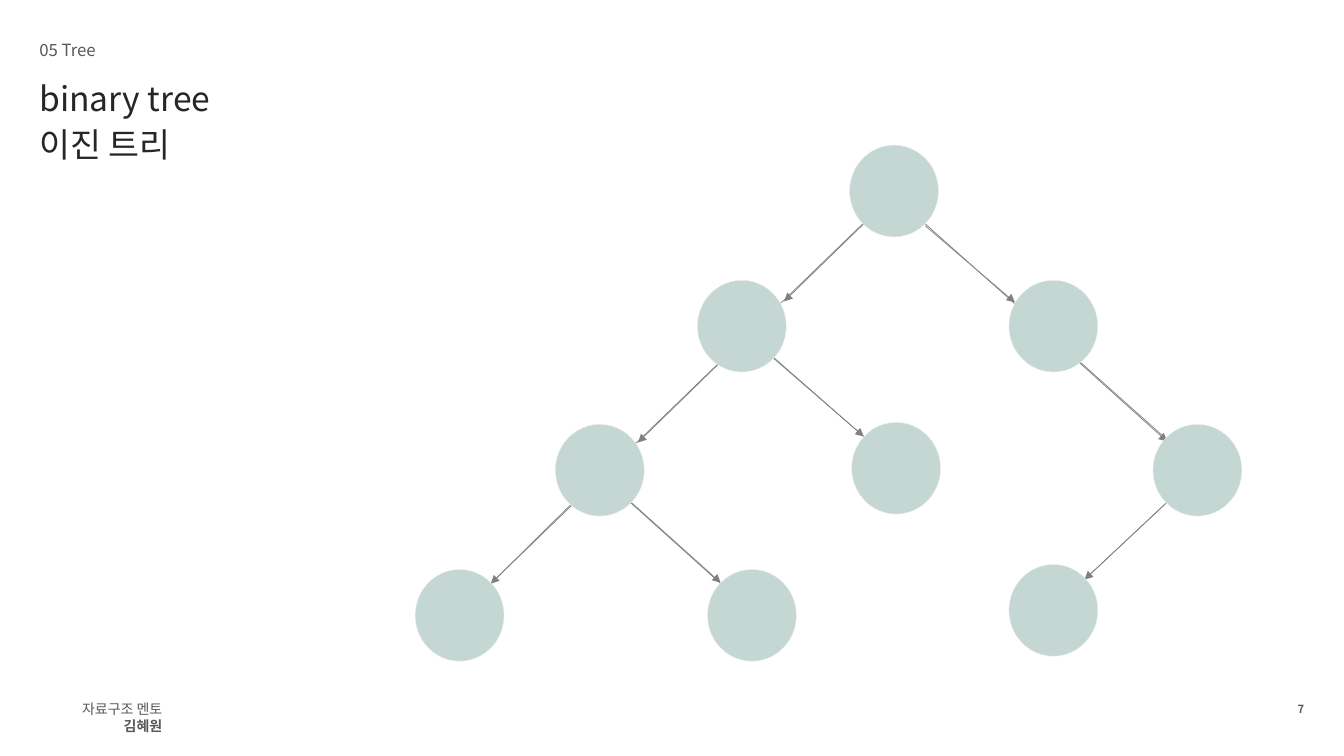
import pptx
import pptx.dml.color
import pptx.enum.shapes
import pptx.enum.text
import pptx.oxml.ns
import pptx.util
from lxml import etree

Pt = pptx.util.Pt
ALIGN = pptx.enum.text.PP_ALIGN
FONT = "Noto Sans CJK KR"
GREY, DARK, EDGE, NODE, RIM = "595959", "262626", "808080", "C4D7D3", "EDEDED"
NODE_W, NODE_H = 63.4, 65.5

# Node corners and edge ends, in points from the corner of the tree's box
NODES = [
    (310.3, 0), (424.1, 96.5), (201.6, 96.5), (100.1, 199.4), (0, 303.1),
    (208.8, 303.1), (311.8, 198), (527, 199.4), (424.1, 299.5),
]
PLAIN_EDGES = [
    (319.7, 56.2, 54, 313.2), (364.3, 56.2, 545.8, 218.2),
    (154.1, 255.6, 218.2, 313.2), (536.4, 255.6, 478.8, 309.6),
    (255.6, 151.9, 320.4, 208.1),
]
ARROW_EDGES = [
    (216, 157, 159.1, 212.4), (320.4, 56.2, 263.5, 111.6),
    (364.3, 57.6, 428.4, 112.3), (473.8, 154.8, 537.1, 211.7),
    (256.3, 151.9, 320.4, 208.1), (154.8, 255.6, 218.2, 312.5),
    (535.7, 256.3, 478.1, 310.3), (110.9, 257, 54, 313.2),
]


def rgb(value):
    """Turn a hex string into a colour."""
    return pptx.dml.color.RGBColor.from_string(value)


def set_all(obj, values):
    """Set every attribute named in a dict."""
    for name, value in values.items():
        setattr(obj, name, value)


def sub(parent, tag, **attrs):
    """Append a DrawingML element."""
    return etree.SubElement(parent, pptx.oxml.ns.qn(tag), **attrs)


def place(sp, box):
    """Move a shape to a box given in points."""
    set_all(sp, dict(zip(("left", "top", "width", "height"), map(Pt, box))))


def add_run(p, text, size, color, bold=False):
    """Add a formatted run, with the font set for Korean as well."""
    r = p.add_run()
    r.text = text
    set_all(r.font, {"size": Pt(size), "bold": bold, "name": FONT})
    r.font.color.rgb = rgb(color)
    sub(r.font._element, "a:ea", typeface=FONT)


def format_frame(tf, wrap):
    """Strip the margins and anchor the text at the top."""
    set_all(tf, {
        "margin_left": 0, "margin_right": 0, "margin_top": 0, "margin_bottom": 0,
        "word_wrap": wrap, "vertical_anchor": pptx.enum.text.MSO_ANCHOR.TOP,
        "auto_size": pptx.enum.text.MSO_AUTO_SIZE.SHAPE_TO_FIT_TEXT,
    })


def add_label(slide, box, align):
    """Add an empty one-paragraph text box and return its paragraph."""
    tf = slide.shapes.add_textbox(*map(Pt, box)).text_frame
    format_frame(tf, False)
    p = tf.paragraphs[0]
    p.alignment = align
    return p


def add_heading(slide, left, top):
    """Place the chapter label and the two-line title."""
    p = add_label(slide, (left, top, 41, 14.4), ALIGN.LEFT)
    add_run(p, "05 Tree", 12, GREY)
    title = slide.shapes.title
    place(title, (left, top + 23.8, 188, 64.8))
    tf = title.text_frame
    format_frame(tf, True)
    for i, text in enumerate(("binary tree", "이진 트리")):
        p = tf.add_paragraph() if i else tf.paragraphs[0]
        set_all(p, {"alignment": ALIGN.LEFT, "line_spacing": 1.14, "space_before": Pt(0)})
        add_run(p, text, 24, DARK)


def add_footer(slide, left, top, width):
    """Place the mentor's name and the page number at the two ends."""
    p = add_label(slide, (left, top, 87.8, 12.2), ALIGN.RIGHT)
    add_run(p, "자료구조 멘토", 10, GREY)
    p.add_line_break()
    add_run(p, "김혜원", 10, GREY, True)
    p = add_label(slide, (left + width - 18.7, top + 1.4, 18.7, 9.4), ALIGN.RIGHT)
    add_run(p, "7", 8, GREY, True)


def add_edge(slide, left, top, ends, arrow):
    """Draw one edge of the tree, with or without an arrowhead."""
    x1, y1, x2, y2 = ends
    sp = slide.shapes.add_connector(
        pptx.enum.shapes.MSO_CONNECTOR.STRAIGHT,
        Pt(left + x1), Pt(top + y1), Pt(left + x2), Pt(top + y2))
    sp.line.width = Pt(0.5)
    sp.line.color.rgb = rgb(EDGE)
    if arrow:
        sub(sp.line._get_or_add_ln(), "a:tailEnd", type="triangle")
    sub(sp._element.spPr, "a:effectLst")


def add_node(slide, left, top):
    """Draw one round node."""
    sp = slide.shapes.add_shape(
        pptx.enum.shapes.MSO_SHAPE.FLOWCHART_CONNECTOR,
        *map(Pt, (left, top, NODE_W, NODE_H)))
    sp.shadow.inherit = False
    sp.fill.solid()
    sp.fill.fore_color.rgb = rgb(NODE)
    sp.line.width = Pt(0.25)
    sp.line.color.rgb = rgb(RIM)


def add_tree(slide, left, top):
    """Draw the edges, then the nodes in front of them."""
    for edges, arrow in ((PLAIN_EDGES, False), (ARROW_EDGES, True)):
        for ends in edges:
            add_edge(slide, left, top, ends, arrow)
    for x, y in NODES:
        add_node(slide, left + x, top + y)


def main():
    """Build the slide and save it."""
    prs = pptx.Presentation()
    set_all(prs, {"slide_width": Pt(960), "slide_height": Pt(540)})
    slide = prs.slides.add_slide(prs.slide_layouts[5])
    add_footer(slide, 28.1, 500.4, 903.6)
    add_heading(slide, 28.1, 28.1)
    add_tree(slide, 296.6, 103.7)
    prs.save("out.pptx")


main()
